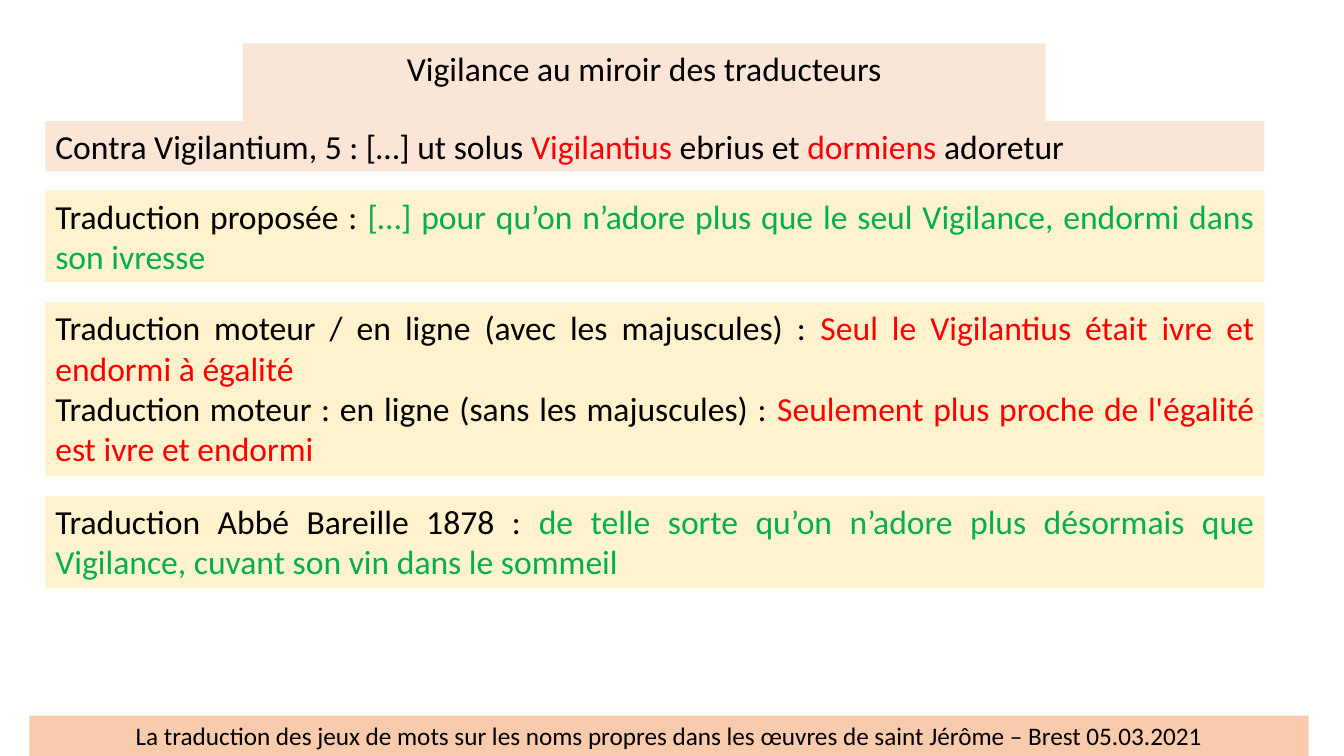
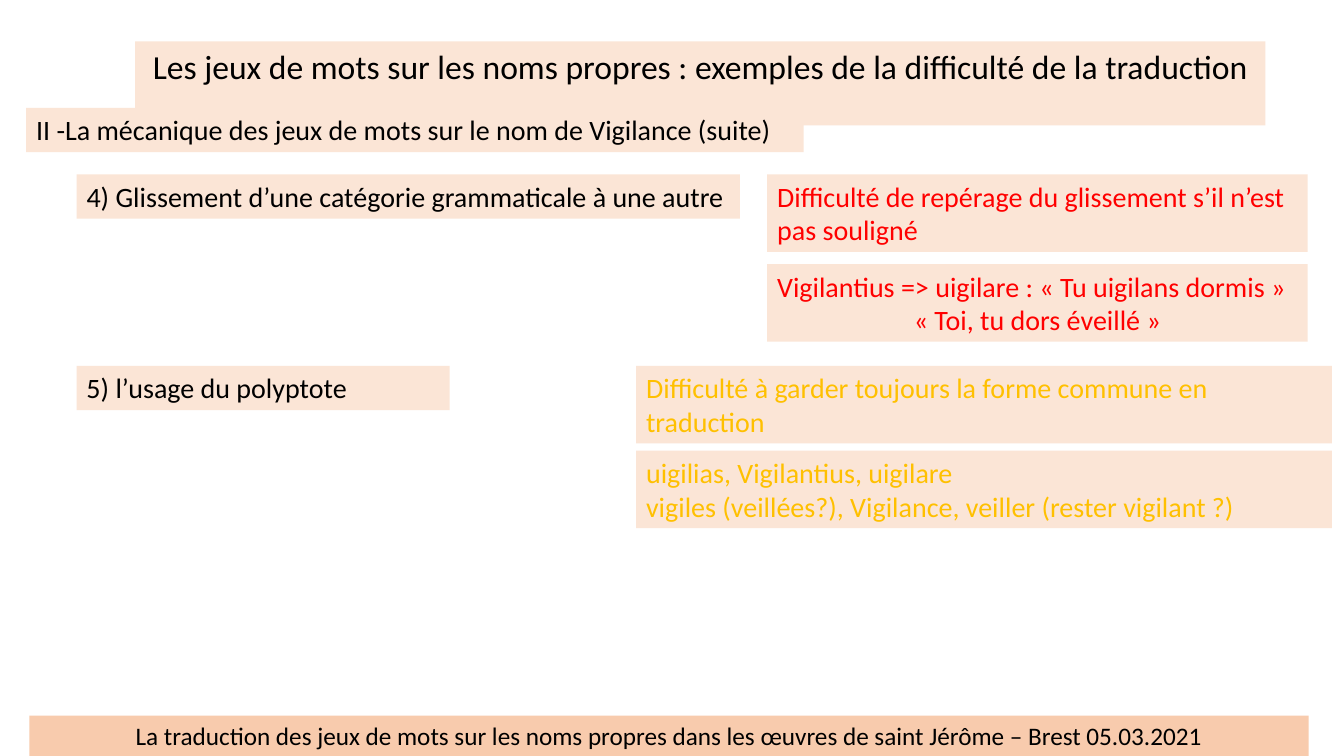
from dataclasses import dataclass

from pptx import Presentation
from pptx import util as u
from pptx.dml.color import RGBColor
from pptx.enum import text as t


@dataclass(frozen=True)
class Theme:
    face: str = "Calibri"
    ink: str = "000000"
    red: str = "FF0000"
    green: str = "00B050"
    gold: str = "FFC000"
    peach: str = "FBE5D6"
    cream: str = "FFF2CC"
    band: str = "F8CBAD"
    large: int = 24
    medium: int = 20
    small: int = 18


LOOK = Theme()
SCALE = 9144
WIDE, HIGH = 1333, 750
LEFT, MID, JUST = t.PP_ALIGN.LEFT, t.PP_ALIGN.CENTER, t.PP_ALIGN.JUSTIFY
FOOT = "La traduction des jeux de mots sur les noms propres dans les œuvres de saint Jérôme – Brest 05.03.2021"


def px(n):
    return u.Emu(n * SCALE)


def assign(item, values):
    for name, value in values.items():
        setattr(item, name, value)


def write(para, runs, size, align):
    para.alignment = align
    for words, color in runs:
        run = para.add_run()
        run.text = words
        assign(run.font, {"name": LOOK.face, "size": u.Pt(size)})
        run.font.color.rgb = RGBColor.from_string(color)


def dress(shape, place, paras, fill, size):
    sides = ("left", "top", "width", "height")
    assign(shape, {side: px(n) for side, n in zip(sides, place)})
    shape.fill.solid()
    shape.fill.fore_color.rgb = RGBColor.from_string(fill)
    frame = shape.text_frame
    assign(frame, {
        "word_wrap": True,
        "auto_size": t.MSO_AUTO_SIZE.SHAPE_TO_FIT_TEXT,
        "vertical_anchor": t.MSO_ANCHOR.TOP,
    })
    for i, (runs, align) in enumerate(paras):
        para = frame.add_paragraph() if i else frame.paragraphs[0]
        write(para, runs, size, align)


def box(slide, place, paras, fill=LOOK.peach, size=LOOK.medium):
    shape = slide.shapes.add_textbox(*map(px, place))
    dress(shape, place, paras, fill, size)


def plain(words, color=LOOK.ink, align=LEFT):
    return [(words, color)], align


def quote(label, words, color):
    return [(label, LOOK.ink), (words, color)], JUST


def start(deck, title, place):
    slide = deck.slides.add_slide(deck.slide_layouts[5])
    head = [plain(title, align=MID)]
    dress(slide.shapes.title, place, head, LOOK.peach, LOOK.large)
    foot = [plain(FOOT, align=MID)]
    box(slide, (29, 710, 1269, 40), foot, LOOK.band, LOOK.small)
    return slide


def mirror(deck):
    slide = start(deck, "Vigilance au miroir des traducteurs", (241, 43, 796, 50))
    latin = [
        ("Contra Vigilantium, 5 : […] ut solus ", LOOK.ink),
        ("Vigilantius ", LOOK.red),
        ("ebrius et ", LOOK.ink),
        ("dormiens ", LOOK.red),
        ("adoretur", LOOK.ink),
    ]
    ours = quote(
        "Traduction proposée : ",
        "[…] pour qu’on n’adore plus que le seul Vigilance, endormi dans son ivresse",
        LOOK.green)
    caps = quote(
        "Traduction moteur / en ligne (avec les majuscules) : ",
        "Seul le Vigilantius était ivre et endormi à égalité",
        LOOK.red)
    lower = quote(
        "Traduction moteur : en ligne (sans les majuscules) : ",
        "Seulement plus proche de l'égalité est ivre et endormi",
        LOOK.red)
    abbot = quote(
        "Traduction Abbé Bareille 1878 : ",
        "de telle sorte qu’on n’adore plus désormais que Vigilance, cuvant son vin dans le sommeil",
        LOOK.green)
    rows = [
        (120, 50, LOOK.peach, [(latin, JUST)]),
        (189, 91, LOOK.cream, [ours]),
        (300, 172, LOOK.cream, [caps, lower]),
        (492, 91, LOOK.cream, [abbot]),
    ]
    for top, tall, fill, paras in rows:
        box(slide, (45, top, 1209, tall), paras, fill, LOOK.large)


def puns(deck):
    slide = start(
        deck,
        "Les jeux de mots sur les noms propres : exemples de la difficulté de la traduction",
        (134, 41, 1121, 50))
    heads = [
        (26, 107, 771, "II -La mécanique des jeux de mots sur le nom de Vigilance (suite)"),
        (76, 173, 658, "4) Glissement d’une catégorie grammaticale à une autre"),
        (76, 363, 370, "5) l’usage du polyptote"),
    ]
    for left, top, wide, words in heads:
        box(slide, (left, top, wide, 44), [plain(words)])
    shift = plain("Difficulté de repérage du glissement s’il n’est pas souligné", LOOK.red)
    awake = [
        plain("Vigilantius => uigilare : « Tu uigilans dormis »", LOOK.red),
        plain("« Toi, tu dors éveillé »", LOOK.red, MID),
    ]
    form = plain("Difficulté à garder toujours la forme commune en traduction", LOOK.gold)
    kin = [
        plain("uigilias, Vigilantius, uigilare", LOOK.gold),
        plain("vigiles (veillées?), Vigilance, veiller (rester vigilant ?)", LOOK.gold),
    ]
    notes = [
        (761, 173, 536, [shift]),
        (761, 262, 536, awake),
        (631, 363, 690, [form]),
        (631, 447, 690, kin),
    ]
    for left, top, wide, paras in notes:
        box(slide, (left, top, wide, 77), paras)


def main():
    deck = Presentation()
    assign(deck, {"slide_width": px(WIDE), "slide_height": px(HIGH)})
    mirror(deck)
    puns(deck)
    deck.save("out.pptx")


if __name__ == "__main__":
    main()
